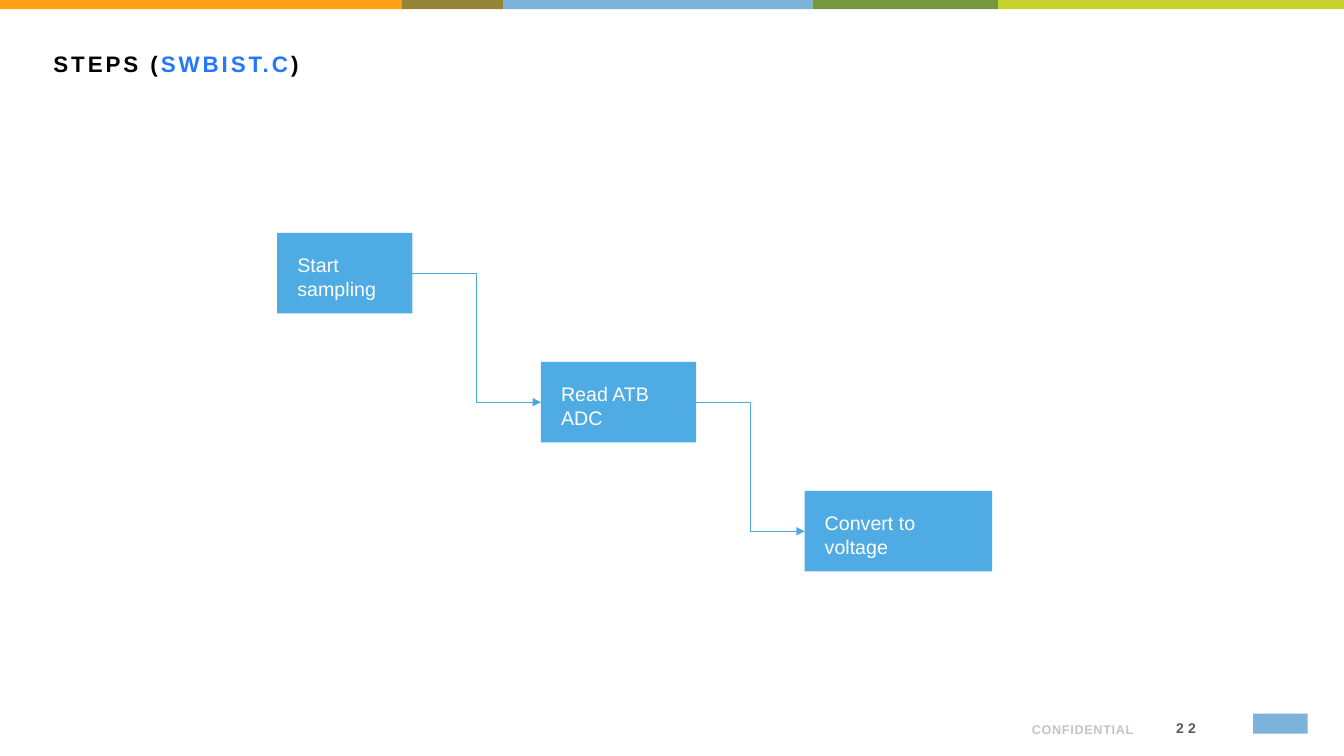
from lxml import etree
from pptx import Presentation
from pptx import util as u
from pptx.dml.color import RGBColor
from pptx.enum import shapes, text
from pptx.oxml import ns

BLACK = RGBColor(0x00, 0x00, 0x00)
WHITE = RGBColor(0xFF, 0xFF, 0xFF)
LINK_BLUE = RGBColor(0x23, 0x78, 0xFF)
STEP_BLUE = RGBColor(0x4F, 0xAB, 0xE3)
ARROW_BLUE = RGBColor(0x4A, 0xA8, 0xE2)
NUMBER_GREY = RGBColor(0x59, 0x59, 0x59)
FOOTER_GREY = RGBColor(0xC4, 0xC4, 0xC4)
ORANGE = RGBColor(0xFF, 0xA0, 0x15)
BROWN = RGBColor(0x95, 0x84, 0x36)
SKY = RGBColor(0x7D, 0xB2, 0xDB)
GREEN = RGBColor(0x73, 0x98, 0x3E)
LIME = RGBColor(0xC7, 0xD2, 0x2D)

TITLE = [("STEPS (", BLACK), ("SWBIST.C", LINK_BLUE), (")", BLACK)]
STEPS = [("Start sampling", 1.34), ("Read ATB ADC", 1.54), ("Convert to voltage", 1.86)]
BAND = [(3.98, ORANGE), (1.01, BROWN), (3.07, SKY), (1.84, GREEN), (3.43, LIME)]
FOOTERS = [
    ("CONFIDENTIAL", (8.51, 7.02, 2.83, 0.34), 9, FOOTER_GREY, 0.5, text.MSO_ANCHOR.BOTTOM, 0.1),
    ("22", (11.28, 7.07, 0.65, 0.3), 10, NUMBER_GREY, 3, text.MSO_ANCHOR.MIDDLE, 0.07),
]
LOGO_PLACE = (12.43, 7.08, 0.54, 0.2)
BAND_HEIGHT = 0.09
FIRST_LEFT, FIRST_TOP = 2.75, 2.31
COLUMN_PITCH, ROW_PITCH, STEP_HEIGHT = 2.615, 1.28, 0.8
STEP_MARGIN = 0.2
LEFT_SITE, RIGHT_SITE = 1, 3


def inches(place):
    return [u.Inches(length) for length in place]


def set_font(font, size, color, bold):
    font.name = "Arial"
    font.size = u.Pt(size)
    font.bold = bold
    font.color.rgb = color


def set_spacing(run, points):
    run._r.get_or_add_rPr().set("spc", str(round(points * 100)))


def add_block(slide, place, color):
    block = slide.shapes.add_shape(shapes.MSO_SHAPE.RECTANGLE, *inches(place))
    block.shadow.inherit = False
    block.fill.solid()
    block.fill.fore_color.rgb = color
    block.line.fill.background()
    return block


def add_title(slide):
    title = slide.shapes.title
    title.left, title.top, title.width, title.height = inches((0.43, 0.45, 12.5, 0.72))
    frame = title.text_frame
    frame.auto_size = text.MSO_AUTO_SIZE.NONE
    frame.vertical_anchor = text.MSO_ANCHOR.TOP
    paragraph = frame.paragraphs[0]
    paragraph.alignment = text.PP_ALIGN.LEFT
    for words, color in TITLE:
        run = paragraph.add_run()
        run.text = words
        set_font(run.font, 16, color, True)
        set_spacing(run, 2.1)


def add_footer(slide, words, place, size, color, spacing, anchor, margin):
    frame = slide.shapes.add_textbox(*inches(place)).text_frame
    frame.word_wrap = True
    frame.vertical_anchor = anchor
    frame.margin_left = frame.margin_right = u.Inches(margin)
    paragraph = frame.paragraphs[0]
    paragraph.alignment = text.PP_ALIGN.RIGHT
    run = paragraph.add_run()
    run.text = words
    set_font(paragraph.font, size, color, True)
    set_spacing(run, spacing)


def add_step(slide, index, words, width):
    left = FIRST_LEFT + index * COLUMN_PITCH
    top = FIRST_TOP + index * ROW_PITCH
    step = add_block(slide, (left, top, width, STEP_HEIGHT), STEP_BLUE)
    frame = step.text_frame
    frame.word_wrap = True
    frame.vertical_anchor = text.MSO_ANCHOR.TOP
    frame.margin_left = frame.margin_right = u.Inches(STEP_MARGIN)
    frame.margin_top = frame.margin_bottom = u.Inches(STEP_MARGIN)
    paragraph = frame.paragraphs[0]
    paragraph.text = words
    paragraph.alignment = text.PP_ALIGN.LEFT
    set_font(paragraph.font, 14, WHITE, False)
    return step


def add_arrow(slide, source, target):
    arrow = slide.shapes.add_connector(shapes.MSO_CONNECTOR.ELBOW, 0, 0, 0, 0)
    arrow.begin_connect(source, RIGHT_SITE)
    arrow.end_connect(target, LEFT_SITE)
    arrow.line.color.rgb = ARROW_BLUE
    arrow.line.width = u.Pt(0.75)
    etree.SubElement(arrow.line._get_or_add_ln(), ns.qn("a:tailEnd"), type="triangle")
    etree.SubElement(arrow._element.spPr, ns.qn("a:effectLst"))


def main():
    presentation = Presentation()
    presentation.slide_width, presentation.slide_height = inches((13.33, 7.5))
    slide = presentation.slides.add_slide(presentation.slide_layouts.get_by_name("Title Only"))

    left = 0
    for width, color in BAND:
        add_block(slide, (left, 0, width, BAND_HEIGHT), color)
        left += width

    add_title(slide)
    steps = [add_step(slide, index, *step) for index, step in enumerate(STEPS)]
    for source, target in zip(steps, steps[1:]):
        add_arrow(slide, source, target)

    for footer in FOOTERS:
        add_footer(slide, *footer)
    add_block(slide, LOGO_PLACE, SKY)

    presentation.save("out.pptx")


if __name__ == "__main__":
    main()
